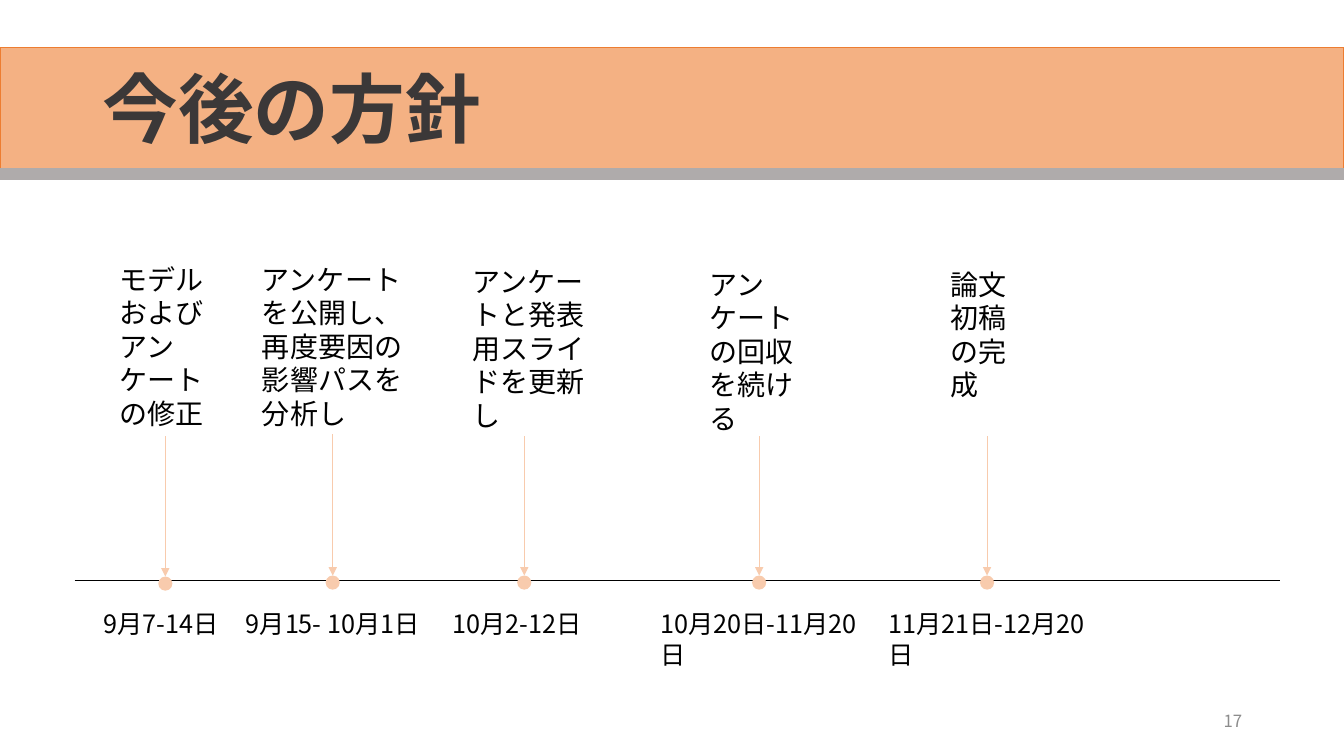
"""Builds the slide on future plans: a banner over a timeline of five steps."""
from pptx import Presentation
from pptx import util as u
from pptx.dml.color import RGBColor
from pptx.enum import lang, shapes, text
from pptx.oxml.ns import qn
from lxml import etree

FONT = "Noto Sans CJK JP"
BLACK = RGBColor(0x00, 0x00, 0x00)
DARK = RGBColor(0x3B, 0x38, 0x38)
GRAY = RGBColor(0x8C, 0x8C, 0x8C)
BAND = RGBColor(0xF4, 0xB1, 0x83)
EDGE = RGBColor(0xED, 0x7D, 0x31)
STRIP = RGBColor(0xAF, 0xAB, 0xAB)
PEACH = RGBColor(0xF8, 0xCB, 0xAD)

deck = Presentation()
deck.slide_width, deck.slide_height = u.Inches(13.33), u.Inches(7.5)
slide = deck.slides.add_slide(deck.slide_layouts[6])
items = slide.shapes


def write(words, box, size, color=BLACK, anchor=text.MSO_ANCHOR.TOP):
    frame = items.add_textbox(*map(u.Inches, box)).text_frame
    frame.word_wrap = True
    frame.vertical_anchor = anchor
    para = frame.paragraphs[0]
    run = para.add_run()
    run.text = words
    font = run.font
    font.name, font.size, font.color.rgb = FONT, u.Pt(size), color
    font.language_id = lang.MSO_LANGUAGE_ID.JAPANESE
    east = etree.SubElement(run._r.get_or_add_rPr(), qn("a:ea"))
    east.set("typeface", FONT)
    return para


def draw(start, end, color):
    ends = map(u.Inches, (*start, *end))
    line = items.add_connector(shapes.MSO_CONNECTOR.STRAIGHT, *ends)
    line.line.color.rgb = color
    line.line.width = u.Pt(0.5)
    etree.SubElement(line._element.spPr, qn("a:effectLst"))
    return line


for top, high, fill, edge in [(0.47, 1.2, BAND, EDGE), (1.67, 0.11, STRIP, STRIP)]:
    bar = items.add_shape(shapes.MSO_SHAPE.RECTANGLE, 0, u.Inches(top),
                          deck.slide_width, u.Inches(high))
    bar.shadow.inherit = False
    bar.fill.solid()
    bar.fill.fore_color.rgb = fill
    bar.line.color.rgb = edge
    bar.line.width = u.Pt(1)

middle = text.MSO_ANCHOR.MIDDLE
title = write("今後の方針", (0.92, 0.4, 11.5, 1.45), 54, DARK, middle)
title.line_spacing = 0.9
title.runs[0].font.bold = True
number = write("17", (9.42, 6.95, 3, 0.4), 12, GRAY, middle)
number.alignment = text.PP_ALIGN.RIGHT

draw((0.74, 5.76), (12.7, 5.76), BLACK)

steps = [
    (1.64, 4.33, 5.72, "モデルおよびアンケートの修正", (1.09, 2.55, 1.09, 1.78),
     "9月7-14日", (0.93, 5.99, 1.41, 0.4)),
    (3.3, 4.31, 5.71, "アンケートを公開し、再度要因の影響パスを分析し", (2.5, 2.55, 1.59, 1.78),
     "9月15- 10月1日", (2.34, 5.99, 2.13, 0.4)),
    (5.2, 4.33, 5.71, "アンケートと発表用スライドを更新し", (4.59, 2.57, 1.36, 1.78),
     "10月2-12日", (4.39, 5.99, 1.62, 0.4)),
    (7.53, 4.33, 5.71, "アンケートの回収を続ける", (6.94, 2.6, 1.04, 1.78),
     "10月20日-11月20日", (6.45, 5.99, 2.16, 0.71)),
    (9.79, 4.33, 5.71, "論文初稿の完成", (9.33, 2.6, 0.9, 1.45),
     "11月21日-12月20日", (8.71, 5.99, 2.16, 0.71)),
]
SIZE = 0.14
for mid, top, low, task, place, date, spot in steps:
    dot = items.add_shape(shapes.MSO_SHAPE.OVAL, u.Inches(mid - SIZE / 2),
                          u.Inches(low), u.Inches(SIZE), u.Inches(SIZE))
    dot.shadow.inherit = False
    dot.fill.solid()
    dot.fill.fore_color.rgb = PEACH
    dot.line.fill.background()
    arrow = draw((mid, top), (mid, low), PEACH)
    tip = etree.SubElement(arrow.line._get_or_add_ln(), qn("a:tailEnd"))
    tip.set("type", "triangle")
    write(task, place, 20)
    write(date, spot, 18)

deck.save("out.pptx")
